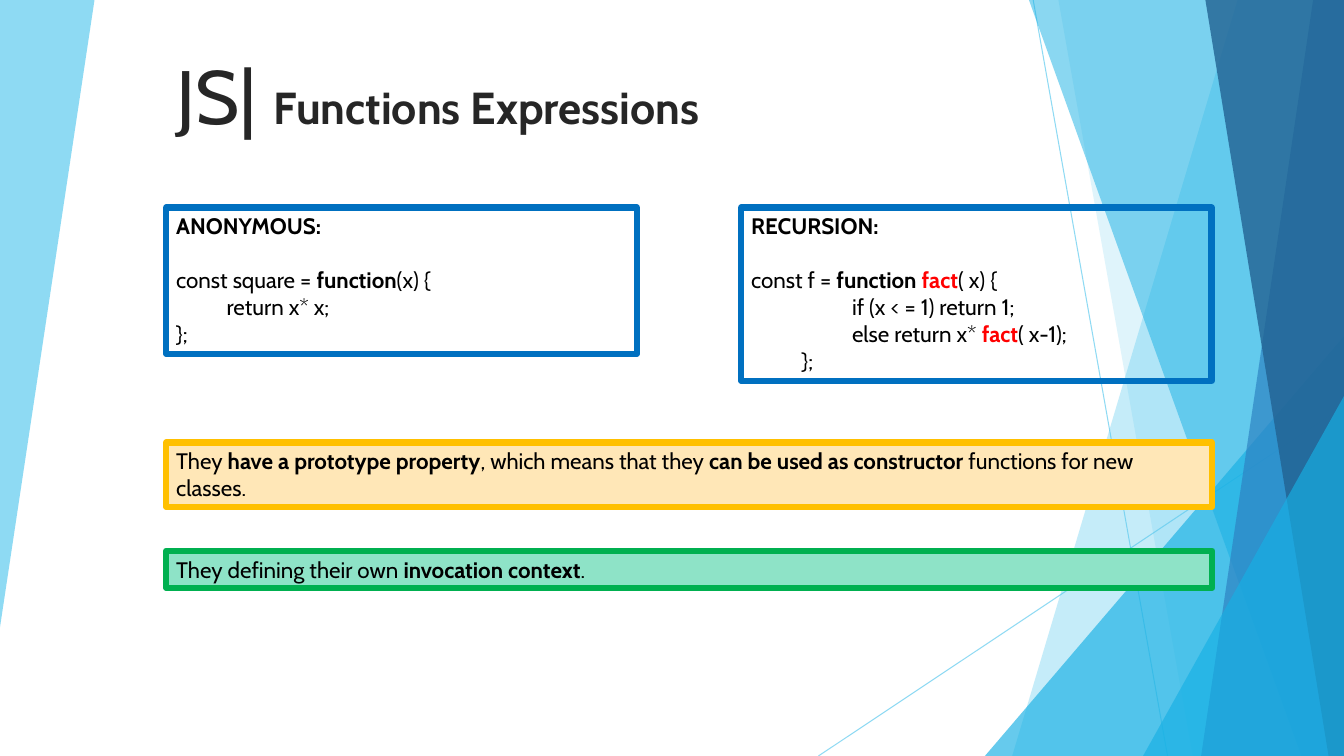
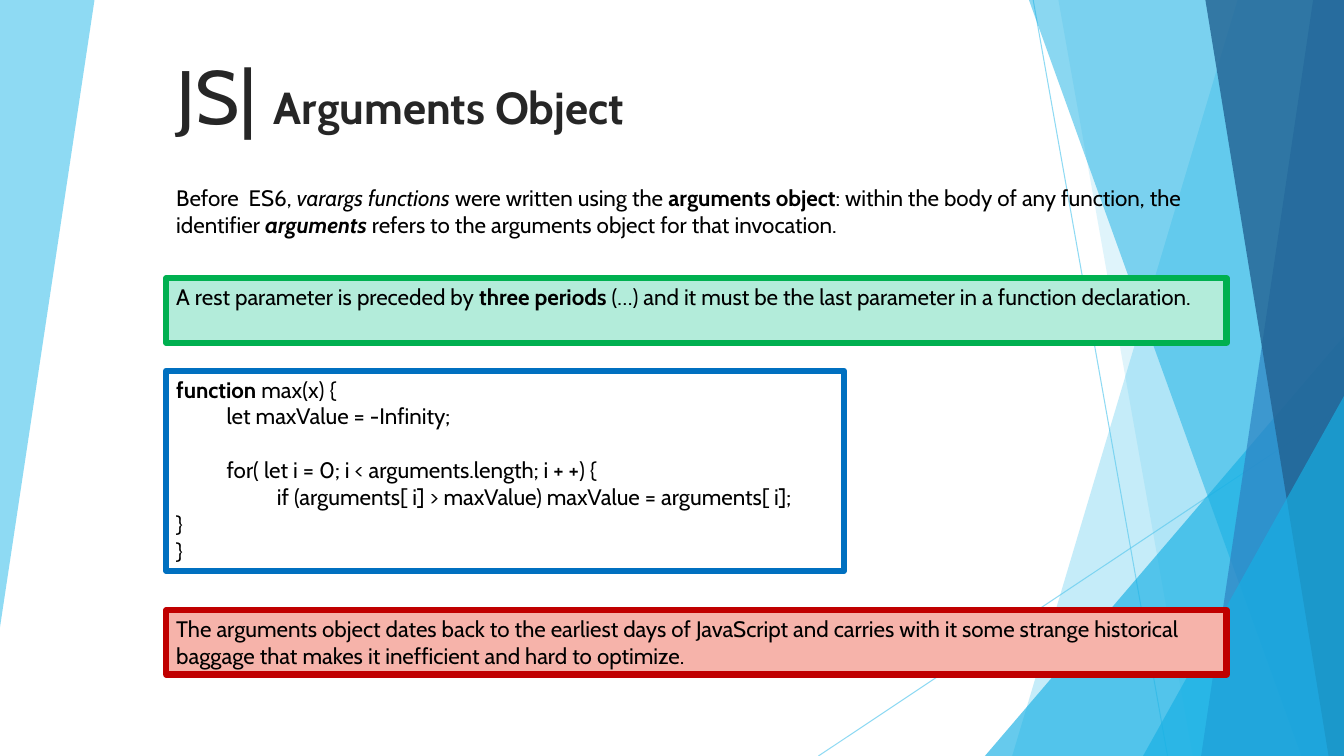
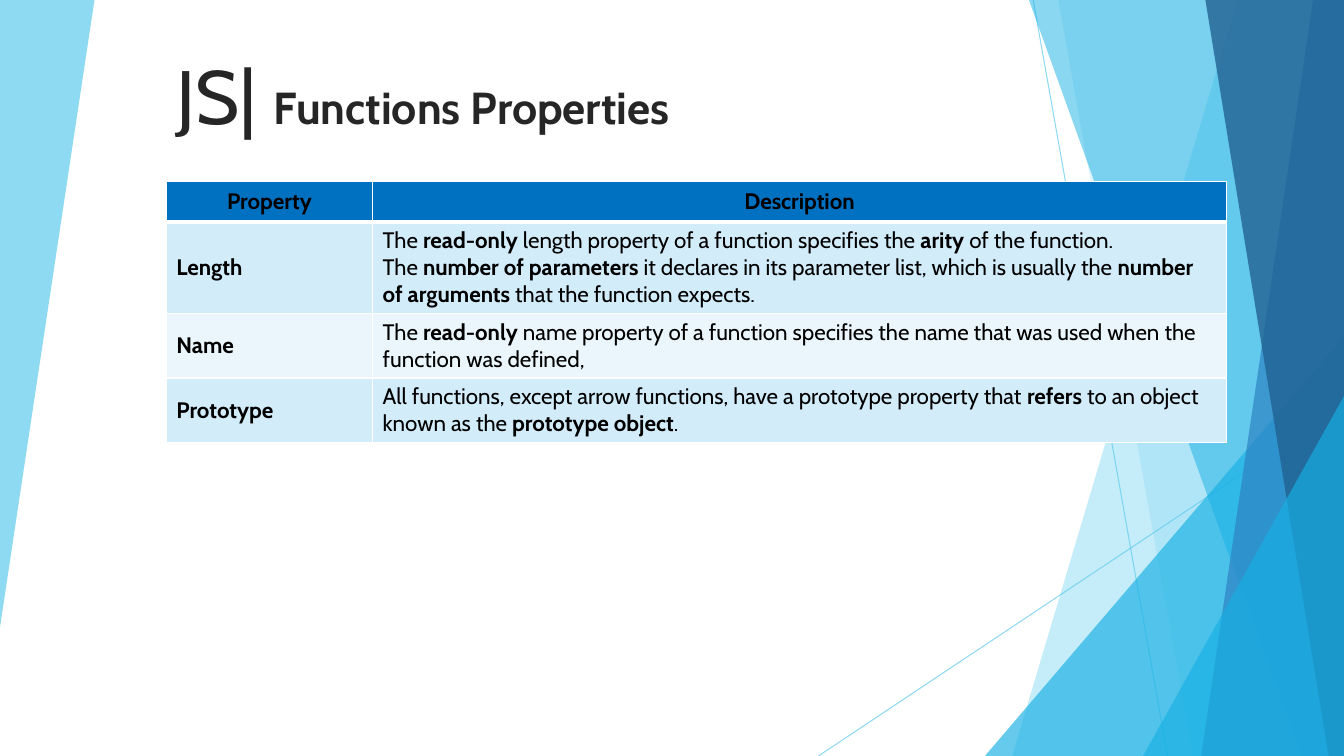
from lxml.etree import SubElement
from pptx import Presentation
from pptx.dml.color import RGBColor
from pptx.enum.shapes import MSO_CONNECTOR, MSO_SHAPE
from pptx.enum.text import MSO_ANCHOR, PP_ALIGN
from pptx.oxml.ns import qn
from pptx.util import Pt

FONT = "Cabin"
BLACK = RGBColor(0x00, 0x00, 0x00)
INK = RGBColor(0x26, 0x26, 0x26)
WHITE = RGBColor(0xFF, 0xFF, 0xFF)
RED = RGBColor(0xFF, 0x00, 0x00)
BLUE = RGBColor(0x00, 0x70, 0xC0)
GREEN = RGBColor(0x00, 0xB0, 0x50)
MINT = RGBColor(0x8E, 0xE3, 0xC7)
PALE = RGBColor(0xB3, 0xEC, 0xDA)
GOLD = RGBColor(0xFF, 0xC0, 0x00)
CREAM = RGBColor(0xFF, 0xE7, 0xB7)
WINE = RGBColor(0xC0, 0x00, 0x00)
ROSE = RGBColor(0xF6, 0xB3, 0xAA)
ICE = RGBColor(0xD2, 0xEC, 0xF9)
FROST = RGBColor(0xEA, 0xF6, 0xFC)
SKY = RGBColor(0x5F, 0xCB, 0xEF)
CYAN = RGBColor(0x17, 0xB0, 0xE4)
STEEL = RGBColor(0x2E, 0x83, 0xC3)
NAVY = RGBColor(0x22, 0x62, 0x92)

WIDE, HIGH = 960, 540
LEFT = 118.8
LINE = 19.3


def write(frame, paras):
    frame.word_wrap = True
    para, gap = None, 0
    for parts in paras:
        if not parts:
            gap = LINE
            continue
        para = frame.add_paragraph() if para else frame.paragraphs[0]
        para.alignment = PP_ALIGN.LEFT
        if gap:
            para.space_before = Pt(gap)
            gap = 0
        for part in parts:
            text, style = (part, "") if isinstance(part, str) else part
            run = para.add_run()
            run.text = text
            font = run.font
            font.name = FONT
            font.size = Pt(16)
            font.bold = "b" in style
            font.italic = "i" in style
            font.color.rgb = RED if "r" in style else BLACK


def place(slide, left, top, width, height, paras, edge=None, fill=None):
    area = Pt(left), Pt(top), Pt(width), Pt(height)
    if edge:
        box = slide.shapes.add_shape(MSO_SHAPE.RECTANGLE, *area)
        box.shadow.inherit = False
        box.line.color.rgb = edge
        box.line.width = Pt(4.5)
    else:
        box = slide.shapes.add_textbox(*area)
    if fill:
        box.fill.solid()
        box.fill.fore_color.rgb = fill
    else:
        box.fill.background()
    box.text_frame.vertical_anchor = MSO_ANCHOR.TOP
    write(box.text_frame, paras)


deck = Presentation()
deck.slide_width = Pt(WIDE)
deck.slide_height = Pt(HIGH)
blank = deck.slide_layouts[6]
for holder in list(blank.placeholders):
    blank.shapes.element.remove(holder.element)

slides = []
for name in ("Functions Expressions", "Arguments Object", "Functions Properties"):
    slide = deck.slides.add_slide(blank)
    title = slide.shapes.add_textbox(Pt(LEFT), Pt(27.4), Pt(611), Pt(76))
    frame = title.text_frame
    frame.word_wrap = True
    frame.vertical_anchor = MSO_ANCHOR.BOTTOM
    for text, size, bold in (("JS| ", 54, False), (name, 32, True)):
        run = frame.paragraphs[0].add_run()
        run.text = text
        run.font.name = FONT
        run.font.size = Pt(size)
        run.font.bold = bold
        run.font.color.rgb = INK
    slides.append(slide)
first, second, third = slides

art = []
for ends in ((738, 0, 834, HIGH), (WIDE, 290, 584.6, HIGH)):
    ray = first.shapes.add_connector(MSO_CONNECTOR.STRAIGHT, *[Pt(n) for n in ends])
    ray.line.color.rgb = SKY
    ray.line.width = Pt(0.75)
    SubElement(ray.element.spPr, qn("a:effectLst"))
    art.append((ray, 70))

bands = (
    ("side", 67.5, 448, SKY, 70),
    ("band", 884, 723, SKY, 36),
    ("band", 756, 852, SKY, 20),
    ("peak", 703.5, 240, CYAN, 66),
    ("band", 735, 929.5, CYAN, 50),
    ("band", 938, 858, STEEL, 70),
    ("band", 861, 949, NAVY, 80),
    ("peak", 816.5, 283, CYAN, 66),
)
for kind, a, b, color, alpha in bands:
    if kind == "peak":
        shape = first.shapes.add_shape(
            MSO_SHAPE.ISOSCELES_TRIANGLE, Pt(a), Pt(b), Pt(WIDE - a), Pt(HIGH - b))
        shape.adjustments[0] = 1
    else:
        spots = [(0, 0), (a, 0), (0, b)]
        if kind == "band":
            spots = [(a, 0), (WIDE, 0), (WIDE, HIGH), (b, HIGH)]
        spots = [(Pt(x), Pt(y)) for x, y in spots]
        path = first.shapes.build_freeform(*spots[0])
        path.add_line_segments(spots[1:])
        shape = path.convert_to_shape()
    shape.shadow.inherit = False
    shape.fill.solid()
    shape.fill.fore_color.rgb = color
    shape.line.fill.background()
    art.append((shape, alpha))

for shape, alpha in art:
    tint = shape.element.xpath(".//a:srgbClr")[0]
    SubElement(tint, qn("a:alpha")).set("val", str(alpha * 1000))
    blank.shapes.element.append(shape.element)

place(first, LEFT, 148.3, 336, 104.4, [
    [("ANONYMOUS:", "b")],
    [],
    ["const square = ", ("function", "b"), "(x) {"],
    ["\treturn x* x;"],
    ["};"],
], BLUE)
place(first, 529.5, 148.3, 336, 123.8, [
    [("RECURSION:", "b")],
    [],
    ["const f = ", ("function ", "b"), ("fact", "br"), "( x) {"],
    ["\t\tif (x < = 1) return 1;"],
    ["\t\telse return x* ", ("fact", "br"), "( x-1);"],
    ["\t};"],
], BLUE)
place(first, LEFT, 316, 747, 46, [[
    "They ", ("have a prototype property", "b"), ", which means that they ",
    ("can be used as constructor", "b"), " functions for new classes.",
]], GOLD, CREAM)
place(first, LEFT, 393.4, 747, 26.6, [[
    "They defining their own ", ("invocation context", "b"), ".",
]], GREEN, MINT)

FULL = 757.4
place(second, LEFT, 128, FULL, 46, [[
    "Before  ES6, ", ("varargs functions ", "i"), "were written using the ",
    ("arguments object", "b"), ": within the body of any function, the identifier ",
    ("arguments", "bi"), " refers to the arguments object for that invocation.",
]])
place(second, LEFT, 198.8, FULL, 46, [[
    "A rest parameter is preceded by ", ("three periods ", "b"),
    "(…) and it must be the last parameter in a function declaration.",
]], GREEN, PALE)
place(second, LEFT, 264.8, 484, 143, [
    [("function", "b"), " max(x) {"],
    ["\tlet maxValue = -Infinity;"],
    [],
    ["\tfor( let i = 0; i < arguments.length; i + +) {"],
    ["\t\tif (arguments[ i] > maxValue) maxValue = arguments[ i]; \t}"],
    ["}"],
], BLUE)
place(second, LEFT, 435.8, FULL, 46, [[
    "The arguments object dates back to the earliest days of JavaScript and carries "
    "with it some strange historical baggage that makes it inefficient and hard to optimize.",
]], WINE, ROSE)

rows = (
    ("Property", [[("Description", "b")]], 29, BLUE),
    ("Length", [
        ["The ", ("read-only", "b"), " length property of a function specifies the ",
         ("arity", "b"), " of the function."],
        ["The ", ("number of parameters ", "b"),
         "it declares in its parameter list, which is usually the ",
         ("number of arguments ", "b"), "that the function expects."],
    ], 65.5, ICE),
    ("Name", [[
        "The ", ("read-only", "b"), " name property of a function specifies the name "
        "that was used when the function was defined,",
    ]], 46, FROST),
    ("Prototype", [[
        "All functions, except arrow functions, have a prototype property that ",
        ("refers", "b"), " to an object known as the ", ("prototype object", "b"), ".",
    ]], 46, ICE),
)
grid = third.shapes.add_table(
    len(rows), 2, Pt(LEFT), Pt(129.6), Pt(FULL), Pt(186.5)).table
grid.horz_banding = False
grid.columns[0].width = Pt(147.4)
grid.columns[1].width = Pt(610)
for i, (name, paras, height, color) in enumerate(rows):
    grid.rows[i].height = Pt(height)
    for j, text in enumerate(([[(name, "b")]], paras)):
        cell = grid.cell(i, j)
        cell.vertical_anchor = MSO_ANCHOR.MIDDLE
        write(cell.text_frame, text)
        if i == 0:
            cell.text_frame.paragraphs[0].alignment = PP_ALIGN.CENTER
        props = cell._tc.get_or_add_tcPr()
        for side in "LRTB":
            thick = (i, side) in ((0, "B"), (1, "T"))
            edge = SubElement(props, qn("a:ln" + side), w=str(Pt(3 if thick else 1)))
            SubElement(SubElement(edge, qn("a:solidFill")), qn("a:srgbClr"), val=str(WHITE))
        cell.fill.solid()
        cell.fill.fore_color.rgb = color

deck.save("out.pptx")
